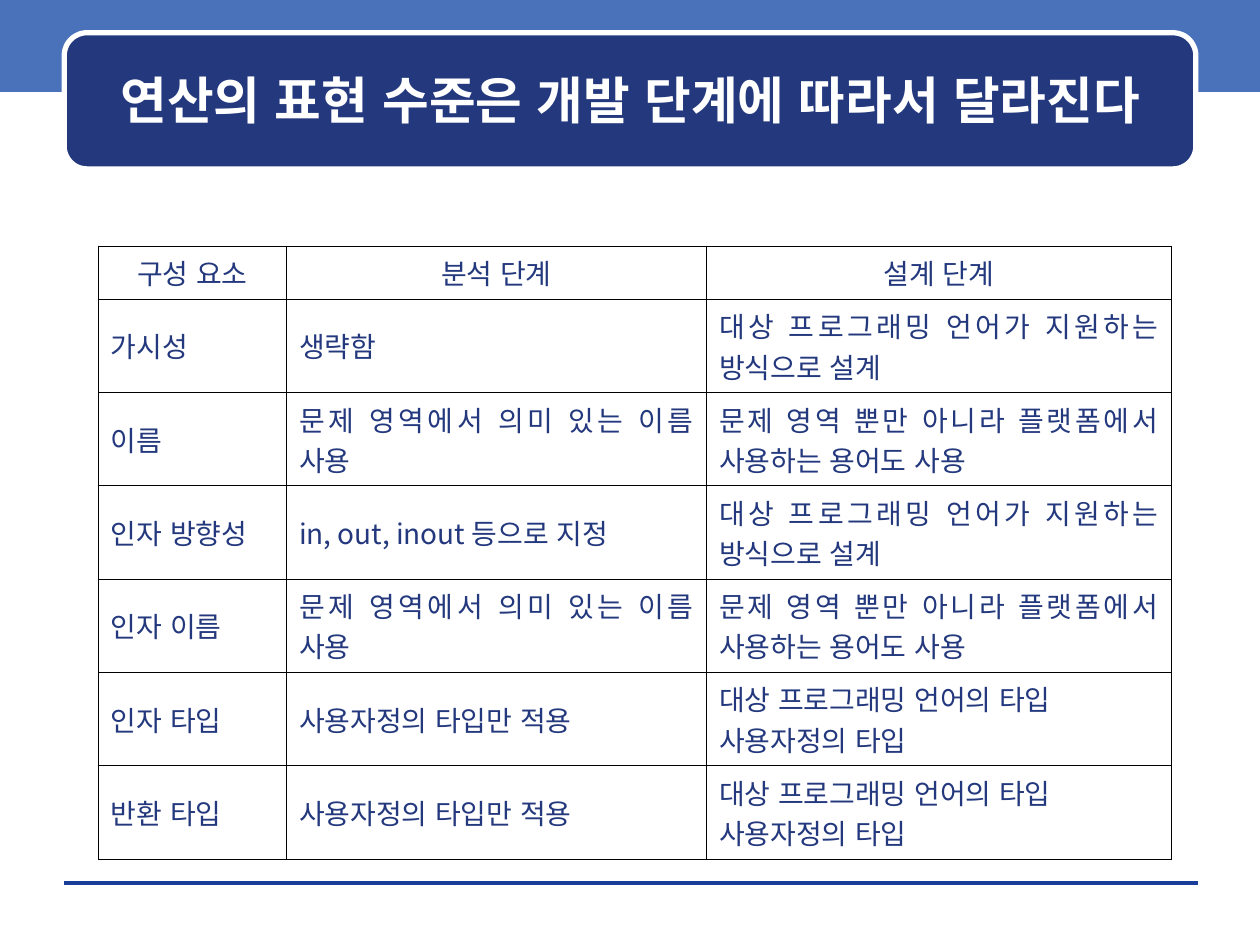
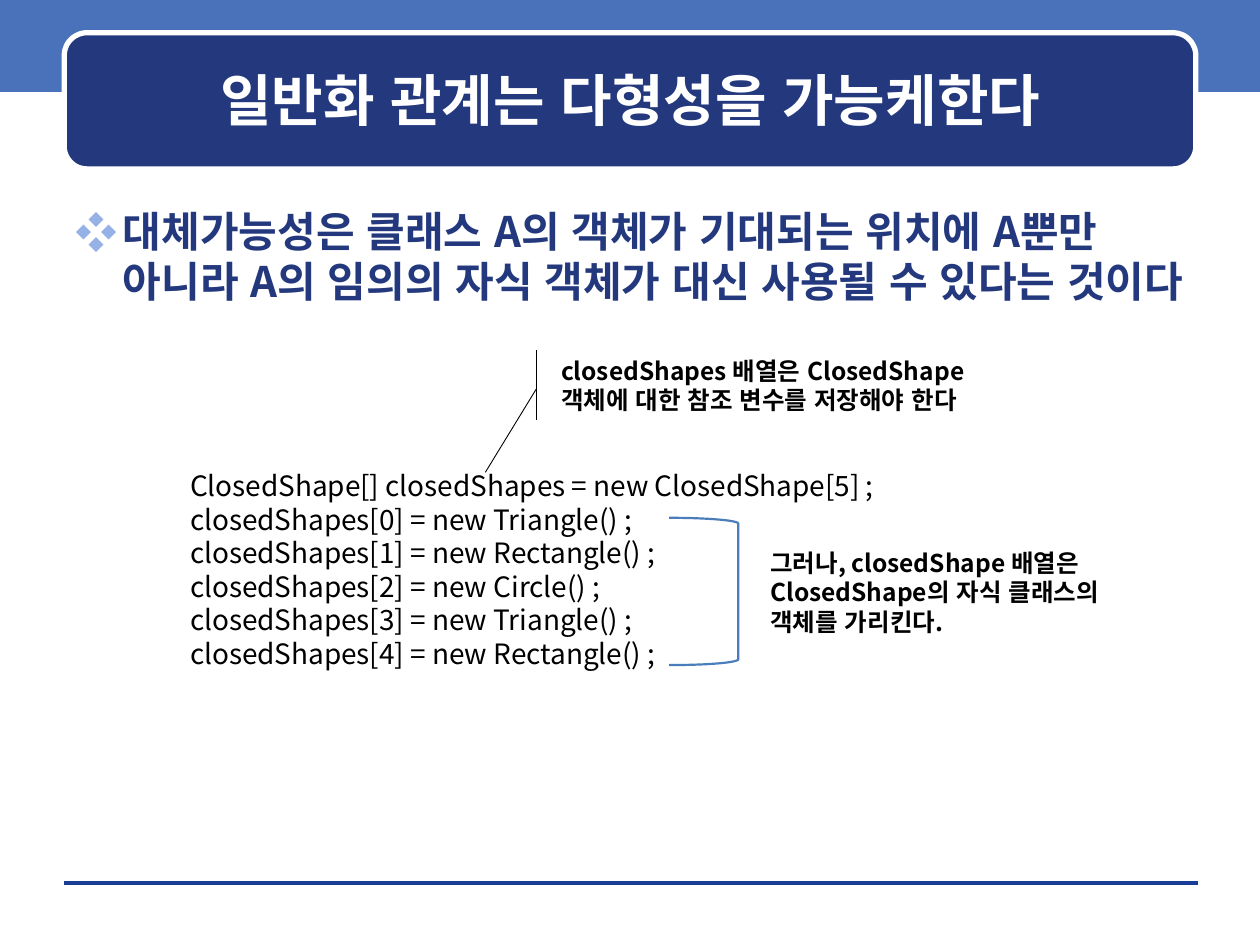
import pptx
import pptx.dml.color
import pptx.enum.lang
import pptx.enum.shapes
import pptx.enum.text
import pptx.oxml
import pptx.oxml.ns
import pptx.util
from lxml import etree

Pt = pptx.util.Pt
Align = pptx.enum.text.PP_ALIGN
Anchor = pptx.enum.text.MSO_ANCHOR
AutoSize = pptx.enum.text.MSO_AUTO_SIZE
Preset = pptx.enum.shapes.MSO_SHAPE

NAVY = "23387D"
BLUE = "4972BB"
RULE_BLUE = "1A3D97"
BRACKET_BLUE = "4A7EBB"
BULLET_BLUE = "96B1E6"
WHITE = "FFFFFF"
BLACK = "000000"
FONT = "Noto Sans CJK KR"
LINE_FACTOR = 1.2
TITLE_AND_BODY, TITLE_ONLY = 1, 5


def color(hex_text):
    return pptx.dml.color.RGBColor.from_string(hex_text)


def add_element(parent, tag, **attributes):
    return etree.SubElement(parent, pptx.oxml.ns.qn(tag), **attributes)


class Deck:
    def __init__(self):
        self.presentation = pptx.Presentation()
        self.presentation.slide_width = Pt(720)
        self.presentation.slide_height = Pt(540)
        self.slide = None

    def new_slide(self, layout_number, title, title_size):
        layout = self.presentation.slide_layouts[layout_number]
        self.slide = self.presentation.slides.add_slide(layout)
        self.shape(Preset.RECTANGLE, (0, -2, 720, 54.5), fill=BLUE)
        self.line((36.7, 504.7), (684.7, 504.7), RULE_BLUE, 0)
        self.shape(Preset.ROUNDED_RECTANGLE, (36.7, 18.7, 646.6, 77.8),
                   fill=NAVY, line=WHITE, width=3)
        frame = self.placeholder(self.slide.shapes.title, (43.2, 25.2, 634.3, 63.4))
        frame.vertical_anchor = Anchor.MIDDLE
        self.add_text(frame.paragraphs[0], title, title_size, WHITE,
                      bold=True, align=Align.CENTER)

    def placeholder(self, shape, box):
        shape.left, shape.top, shape.width, shape.height = map(Pt, box)
        self.slide.shapes._spTree.append(shape._element)
        shape.text_frame.word_wrap = True
        shape.text_frame.auto_size = AutoSize.NONE
        return shape.text_frame

    def add_text(self, paragraph, text, size, text_color, bold=False,
                 align=Align.LEFT, line_spacing=None):
        paragraph.alignment = align
        paragraph.space_before = Pt(0)
        if line_spacing:
            paragraph.line_spacing = line_spacing
        run = paragraph.add_run()
        run.text = text
        font = run.font
        font.name = FONT
        font.size = Pt(size)
        font.bold = bold
        font.color.rgb = color(text_color)
        font.language_id = pptx.enum.lang.MSO_LANGUAGE_ID.KOREAN
        add_element(font._element, "a:ea", typeface=FONT)

    def add_lines(self, frame, lines, size, text_color, **style):
        for number, text in enumerate(lines):
            paragraph = frame.add_paragraph() if number else frame.paragraphs[0]
            self.add_text(paragraph, text, size, text_color, **style)

    def shape(self, preset, box, fill=None, line=None, width=0.5):
        shape = self.slide.shapes.add_shape(preset, *map(Pt, box))
        shape.shadow.inherit = False
        if fill:
            shape.fill.solid()
            shape.fill.fore_color.rgb = color(fill)
        else:
            shape.fill.background()
        if line:
            shape.line.color.rgb = color(line)
            shape.line.width = Pt(width)
        else:
            shape.line.fill.background()
        return shape

    def line(self, start, end, line_color, width):
        connector = self.slide.shapes.add_connector(
            pptx.enum.shapes.MSO_CONNECTOR.STRAIGHT, *map(Pt, start + end))
        connector.line.color.rgb = color(line_color)
        connector.line.width = Pt(width)
        add_element(connector._element.spPr, "a:effectLst")

    def bullet(self, text, box, size):
        frame = self.placeholder(self.slide.placeholders[1], box)
        paragraph = frame.paragraphs[0]
        properties = paragraph._p.get_or_add_pPr()
        properties.set("marL", str(Pt(27)))
        properties.set("indent", str(-Pt(27)))
        bullet_color = add_element(properties, "a:buClr")
        add_element(bullet_color, "a:srgbClr", val=BULLET_BLUE)
        add_element(properties, "a:buFont", typeface=FONT)
        add_element(properties, "a:buChar", char="❖")
        self.add_text(paragraph, text, size, NAVY, bold=True,
                      line_spacing=Pt(size * LINE_FACTOR))

    def text_box(self, lines, box, size):
        frame = self.slide.shapes.add_textbox(*map(Pt, box)).text_frame
        frame.word_wrap = True
        frame.auto_size = AutoSize.SHAPE_TO_FIT_TEXT
        self.add_lines(frame, lines, size, BLACK,
                       line_spacing=Pt(size * LINE_FACTOR))

    def note(self, shape, text, size=14):
        frame = shape.text_frame
        frame.word_wrap = True
        frame.vertical_anchor = Anchor.MIDDLE
        frame._txBody.bodyPr.set("anchorCtr", "1")
        self.add_text(frame.paragraphs[0], text, size, BLACK, bold=True,
                      line_spacing=Pt(size * LINE_FACTOR))

    def table(self, rows, position, column_widths, row_heights, size):
        table = self.slide.shapes.add_table(
            len(rows), len(column_widths), *map(Pt, position),
            Pt(sum(column_widths)), Pt(sum(row_heights))).table
        table.first_row = table.horz_banding = False
        for column, width in zip(table.columns, column_widths):
            column.width = Pt(width)
        for row_number, texts in enumerate(rows):
            table.rows[row_number].height = Pt(row_heights[row_number])
            align = Align.JUSTIFY if row_number else Align.CENTER
            for cell, text in zip(table.rows[row_number].cells, texts):
                self.border(cell)
                cell.fill.background()
                cell.vertical_anchor = Anchor.MIDDLE
                self.add_lines(cell.text_frame, text.split("\n"), size, NAVY,
                               align=align)

    def border(self, cell):
        properties = cell._tc.get_or_add_tcPr()
        for side in ("a:lnL", "a:lnR", "a:lnT", "a:lnB"):
            edge = add_element(properties, side, w=str(Pt(0.45)))
            fill = add_element(edge, "a:solidFill")
            add_element(fill, "a:srgbClr", val=BLACK)


def add_operation_slide(deck):
    deck.new_slide(TITLE_ONLY, "연산의 표현 수준은 개발 단계에 따라서 달라진다", 29)
    language_way = "대상 프로그래밍 언어가 지원하는 방식으로 설계"
    domain_name = "문제 영역에서 의미 있는 이름 사용"
    platform_name = "문제 영역 뿐만 아니라 플랫폼에서 사용하는 용어도 사용"
    user_type = "사용자정의 타입만 적용"
    language_type = "대상 프로그래밍 언어의 타입\n사용자정의 타입"
    rows = [
        ("구성 요소", "분석 단계", "설계 단계"),
        ("가시성", "생략함", language_way),
        ("이름", domain_name, platform_name),
        ("인자 방향성", "in, out, inout 등으로 지정", language_way),
        ("인자 이름", domain_name, platform_name),
        ("인자 타입", user_type, language_type),
        ("반환 타입", user_type, language_type),
    ]
    deck.table(rows, (56.2, 140.6), (107.5, 240, 265.7), [26.6] + [45.6] * 6, 16)


def add_polymorphism_slide(deck):
    deck.new_slide(TITLE_AND_BODY, "일반화 관계는 다형성을 가능케한다", 32)
    deck.bullet("대체가능성은 클래스 A의 객체가 기대되는 위치에 A뿐만 아니라 "
                "A의 임의의 자식 객체가 대신 사용될 수 있다는 것이다",
                (36, 113.8, 648, 383.8), 24)

    children = ("Triangle", "Rectangle", "Circle", "Triangle", "Rectangle")
    code = ["ClosedShape[] closedShapes = new ClosedShape[5] ;"]
    code += [f"closedShapes[{index}] = new {child}() ;"
             for index, child in enumerate(children)]
    deck.text_box(code, (101.5, 264.2, 416.2, 122.4), 16)

    callout = deck.shape(Preset.LINE_CALLOUT_1_ACCENT_BAR,
                         (303.8, 200.2, 264.2, 39.6), line=BLACK)
    for index, value in enumerate((0.56, 0.01, 1.76, -0.1)):
        callout.adjustments[index] = value
    deck.note(callout, "closedShapes 배열은 ClosedShape 객체에 대한 참조 변수를 저장해야 한다")

    label = deck.shape(Preset.RECTANGLE, (421.9, 301.7, 224.6, 73.4))
    deck.note(label, "그러나, closedShape 배열은 ClosedShape의 자식 클래스의 객체를 가리킨다.")
    deck.shape(Preset.RIGHT_BRACKET, (382.3, 295.9, 39.6, 84.2),
               line=BRACKET_BLUE, width=1.25)


def main():
    deck = Deck()
    add_operation_slide(deck)
    add_polymorphism_slide(deck)
    deck.presentation.save("out.pptx")


if __name__ == "__main__":
    main()
